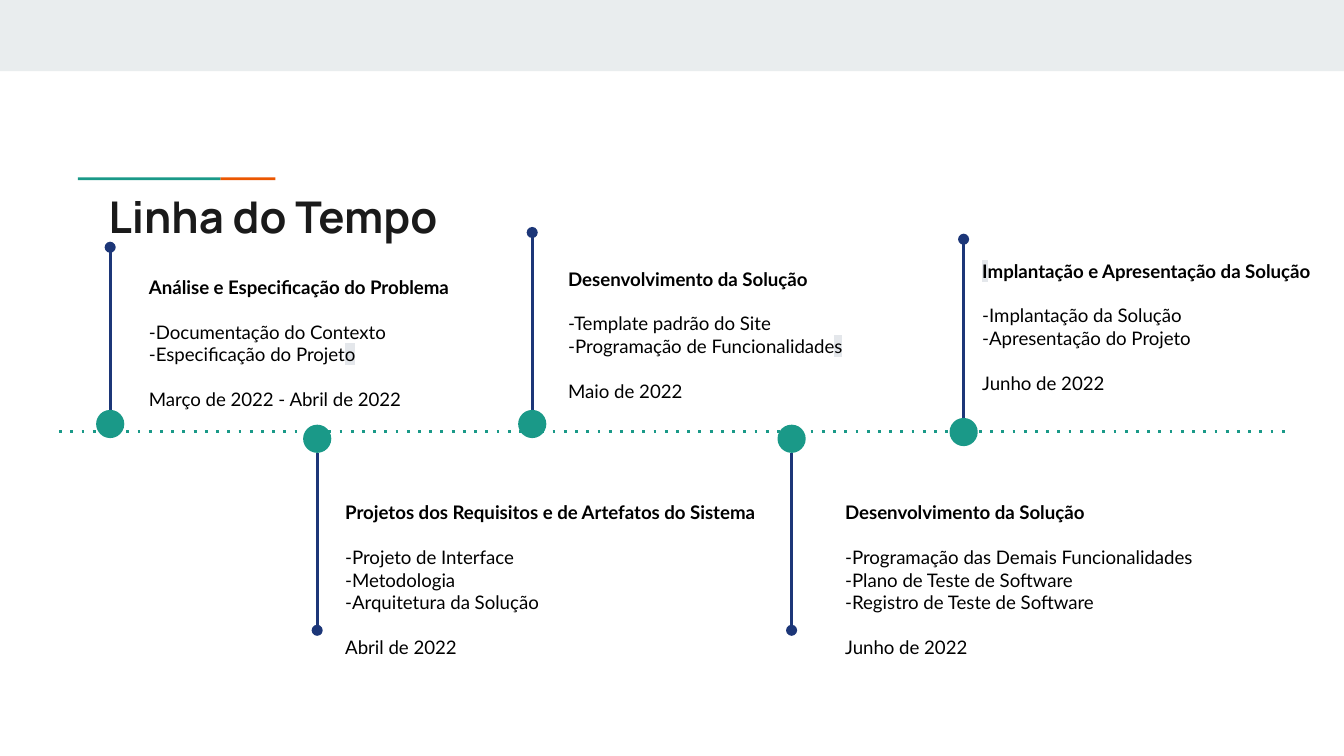
from lxml import etree
from pptx import Presentation
from pptx import util as u
from pptx.dml.color import RGBColor
from pptx.enum import shapes, text
from pptx.oxml import ns

COLORS = {
    "band": "E9EDEE", "teal": "1A9988", "orange": "EB5600", "navy": "1C3678",
    "title": "1A1A1A", "body": "000000", "highlight": "E4E7EB",
}
SLIDE_WIDTH = 10
SLIDE_HEIGHT = SLIDE_WIDTH * 9 / 16
DOT = 0.21
LINE_HEIGHT = 12

# Each text line is a list of runs; a run in a tuple is highlighted.
# dot: centre x and top of the circle; stem_end: y of the far end of the stem
MILESTONES = [
    {"dot": (0.82, 3.05), "stem_end": 1.84, "box": (1.01, 1.95, 2.92, 1.21),
     "heading": ["Análise e Especificação do Problema"],
     "tasks": [["-Documentação do Contexto"],
               ["-Especificação do Projet", ("o",)]],
     "date": "Março de 2022 - Abril de 2022"},
    {"dot": (2.36, 3.16), "stem_end": 4.69, "box": (2.47, 3.63, 3.32, 1.38),
     "heading": ["Projetos dos Requisitos e de Artefatos do Sistema"],
     "tasks": [["-Projeto de Interface"], ["-Metodologia"],
               ["-Arquitetura da Solução"]],
     "date": "Abril de 2022"},
    {"dot": (3.96, 3.05), "stem_end": 1.73, "box": (4.13, 1.89, 2.27, 1.21),
     "heading": ["Desenvolvimento da Solução"],
     "tasks": [["-Template padrão do Site"],
               ["-Programação de Funcionalidade", ("s",)]],
     "date": "Maio de 2022"},
    {"dot": (5.89, 3.16), "stem_end": 4.69, "box": (6.19, 3.63, 3.32, 1.38),
     "heading": ["Desenvolvimento da Solução"],
     "tasks": [["-Programação das Demais Funcionalidades"],
               ["-Plano de Teste de Software"],
               ["-Registro de Teste de Software"]],
     "date": "Junho de 2022"},
    {"dot": (7.17, 3.11), "stem_end": 1.78, "box": (7.21, 1.83, 2.79, 1.21),
     "heading": [("I",), "mplantação e Apresentação da Solução"],
     "tasks": [["-Implantação da Solução"], ["-Apresentação do Projeto"]],
     "date": "Junho de 2022"},
]


def rgb(name):
    return RGBColor.from_string(COLORS[name])


def inches(values):
    return [u.Inches(value) for value in values]


def add_filled(slide, kind, box, color):
    shape = slide.shapes.add_shape(kind, *inches(box))
    shape.shadow.inherit = False
    shape.fill.solid()
    shape.fill.fore_color.rgb = rgb(color)
    shape.line.fill.background()


def add_line(slide, start, end, color, detail, value):
    """Draw a line; detail is the XML tag of its dash or its end mark."""
    line = slide.shapes.add_connector(
        shapes.MSO_CONNECTOR.STRAIGHT, *inches(start + end))
    line.line.width = u.Pt(1.5)
    line.line.color.rgb = rgb(color)
    attribute = "val" if detail == "a:prstDash" else "type"
    etree.SubElement(line.line._get_or_add_ln(), ns.qn(detail), {attribute: value})
    etree.SubElement(line._element.spPr, ns.qn("a:effectLst"))


def add_text_frame(slide, box):
    frame = slide.shapes.add_textbox(*inches(box)).text_frame
    frame.word_wrap = True
    frame.margin_left = frame.margin_right = u.Inches(0.1)
    frame.margin_top = frame.margin_bottom = u.Inches(0.1)
    return frame


def add_run(paragraph, words, font, size, color, bold, highlighted=False):
    run = paragraph.add_run()
    run.text = words
    run.font.name = font
    run.font.size = u.Pt(size)
    run.font.bold = bold
    run.font.color.rgb = rgb(color)
    if highlighted:
        highlight = etree.Element(ns.qn("a:highlight"))
        etree.SubElement(highlight, ns.qn("a:srgbClr"), val=COLORS["highlight"])
        run._r.get_or_add_rPr().find(ns.qn("a:solidFill")).addnext(highlight)


def add_header(slide, width):
    rectangle = shapes.MSO_SHAPE.RECTANGLE
    add_filled(slide, rectangle, (0, 0, width, 0.53), "band")
    add_filled(slide, rectangle, (1.64, 1.32, 0.41, 0.02), "orange")
    add_filled(slide, rectangle, (0.58, 1.32, 1.06, 0.02), "teal")
    frame = add_text_frame(slide, (0.71, 1.31, 8.41, 0.59))
    frame.vertical_anchor = text.MSO_ANCHOR.MIDDLE
    add_run(frame.paragraphs[0], "Linha do Tempo", "Manrope", 23.4, "title", True)


def add_marker(slide, dot, stem_end):
    center, top = dot
    stem_start = top if stem_end < top else top + DOT
    add_line(slide, (center, stem_start), (center, stem_end),
             "navy", "a:tailEnd", "oval")
    add_filled(slide, shapes.MSO_SHAPE.OVAL,
               (center - DOT / 2, top, DOT, DOT), "teal")


def add_description(slide, box, heading, tasks, date):
    frame = add_text_frame(slide, box)
    lines = [heading, *tasks, [date]]
    for index, line in enumerate(lines):
        paragraph = frame.add_paragraph() if index else frame.paragraphs[0]
        if index in (1, len(lines) - 1):
            paragraph.space_before = u.Pt(LINE_HEIGHT)
        for part in line:
            highlighted = isinstance(part, tuple)
            add_run(paragraph, part[0] if highlighted else part,
                    "Lato", 10, "body", index == 0, highlighted)


def main():
    presentation = Presentation()
    presentation.slide_width = u.Inches(SLIDE_WIDTH)
    presentation.slide_height = u.Inches(SLIDE_HEIGHT)
    slide = presentation.slides.add_slide(presentation.slide_layouts[6])
    add_header(slide, SLIDE_WIDTH)
    add_line(slide, (0.44, 3.21), (9.56, 3.21), "teal", "a:prstDash", "dot")
    for milestone in MILESTONES:
        add_marker(slide, milestone["dot"], milestone["stem_end"])
    for milestone in MILESTONES:
        add_description(slide, milestone["box"], milestone["heading"],
                        milestone["tasks"], milestone["date"])
    presentation.save("out.pptx")


if __name__ == "__main__":
    main()
